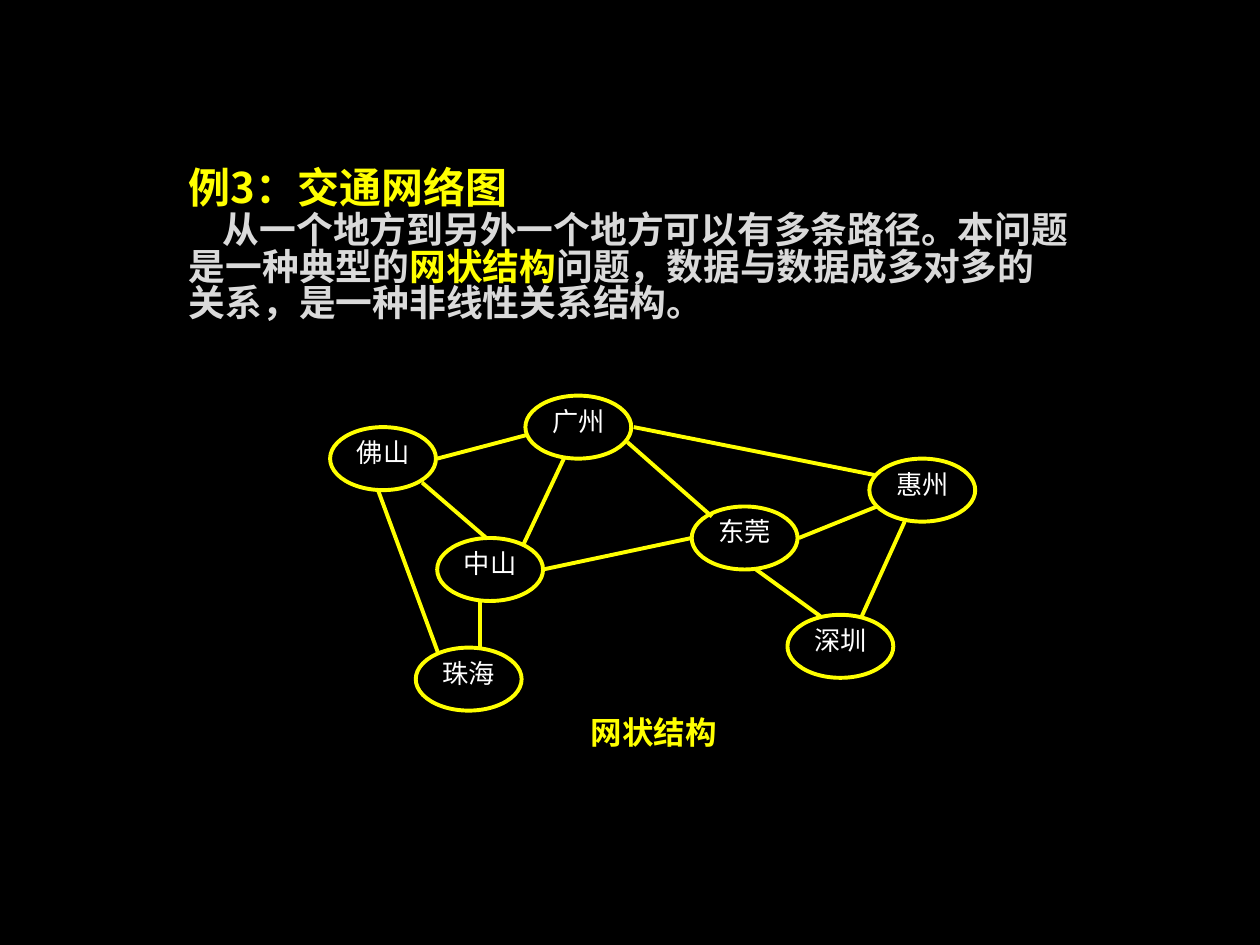
"""Build a slide showing a traffic network between cities as a graph structure."""
import pptx
import pptx.dml.color
import pptx.enum.shapes
import pptx.enum.text
import pptx.oxml
import pptx.oxml.ns
import pptx.util
from pptx.util import Inches, Pt

THEME = {
    "background": "000000", "accent": "FFFF00", "body": "DADADA", "city": "FFFFFF",
    "cjk_font": "Noto Sans CJK SC", "city_font": "Calibri",
    "title_size": 24, "body_size": 21, "caption_size": 18, "city_size": 15,
    "line_width": 2.25,
}

TITLE = [("例3：交通网络图", "accent")]
EXPLANATION = [
    ("从一个地方到另外一个地方可以有多条路径。本问题是一种典型的", "body"),
    ("网状结构", "accent"),
    ("问题，数据与数据成多对多的关系，是一种非线性关系结构。", "body"),
]
CAPTION = [("网状结构", "accent")]

CITY_SIZE = (0.84, 0.5)
CITIES = {
    "佛山": (2.62, 3.39), "惠州": (6.9, 3.64), "广州": (4.17, 3.14),
    "中山": (3.47, 4.27), "东莞": (5.49, 4.02), "深圳": (6.25, 4.88),
    "珠海": (3.3, 5.14),
}
ROADS = [
    ((3.81, 5.14), (3.81, 4.77)),
    ((3.86, 4.27), (3.35, 3.83)),
    ((5.49, 4.27), (4.31, 4.52)),
    ((5.65, 4.1), (4.98, 3.51)),
    ((6.51, 4.89), (6, 4.52)),
    ((6.84, 4.89), (7.18, 4.14)),
    ((6.94, 3.77), (5.03, 3.39)),
    ((4.15, 4.33), (4.48, 3.63)),
    ((4.19, 3.45), (3.47, 3.64)),
    ((6.96, 4.02), (6.34, 4.27)),
    ((3.48, 5.19), (3, 3.89)),
]


def color(role):
    return pptx.dml.color.RGBColor.from_string(THEME[role])


def style_line(line):
    line.color.rgb = color("accent")
    line.width = Pt(THEME["line_width"])


def write_runs(paragraph, pieces, size):
    for text, role in pieces:
        run = paragraph.add_run()
        run.text = text
        run.font.size = Pt(THEME[size])
        run.font.bold = True
        run.font.color.rgb = color(role)
        run.font.name = THEME["cjk_font"]
        east_asian = pptx.oxml.parse_xml(
            f'<a:ea {pptx.oxml.ns.nsdecls("a")} typeface="{THEME["cjk_font"]}"/>')
        run.font._element.find(pptx.oxml.ns.qn("a:latin")).addnext(east_asian)


def add_text_frame(slide, left, top, width, height):
    frame = slide.shapes.add_textbox(*map(Inches, (left, top, width, height))).text_frame
    frame.word_wrap = True
    return frame


def add_introduction(slide):
    frame = add_text_frame(slide, 1.4, 1.27, 7.19, 1.77)
    frame.margin_top = Inches(0.08)
    heading, explanation = frame.paragraphs[0], frame.add_paragraph()
    write_runs(heading, TITLE, "title_size")
    write_runs(explanation, EXPLANATION, "body_size")
    heading.line_spacing = explanation.line_spacing = 0.83
    explanation.space_before = Pt(1.3)
    explanation._p.get_or_add_pPr().set("indent", str(Inches(0.27)))


def add_city(slide, city, position):
    oval = slide.shapes.add_shape(
        pptx.enum.shapes.MSO_SHAPE.OVAL, *map(Inches, position + CITY_SIZE))
    oval.shadow.inherit = False
    oval.fill.background()
    style_line(oval.line)
    frame = oval.text_frame
    frame.margin_left = frame.margin_right = frame.margin_top = frame.margin_bottom = 0
    frame.vertical_anchor = pptx.enum.text.MSO_ANCHOR.TOP
    frame.text = city
    label = frame.paragraphs[0]
    label.alignment = pptx.enum.text.PP_ALIGN.CENTER
    font = label.runs[0].font
    font.name = THEME["city_font"]
    font.size = Pt(THEME["city_size"])
    font.color.rgb = color("city")


def add_road(slide, start, end):
    road = slide.shapes.add_connector(
        pptx.enum.shapes.MSO_CONNECTOR.STRAIGHT, *map(Inches, start + end))
    style_line(road.line)
    road._element.spPr.append(
        pptx.oxml.parse_xml(f'<a:effectLst {pptx.oxml.ns.nsdecls("a")}/>'))


def add_caption(slide):
    frame = add_text_frame(slide, 4.19, 5.62, 2, 0.38)
    frame.vertical_anchor = pptx.enum.text.MSO_ANCHOR.MIDDLE
    frame.margin_left = frame.margin_right = Inches(0.08)
    frame.margin_top = frame.margin_bottom = Inches(0.04)
    frame.paragraphs[0].alignment = pptx.enum.text.PP_ALIGN.CENTER
    write_runs(frame.paragraphs[0], CAPTION, "caption_size")


def main():
    deck = pptx.Presentation()
    deck.slide_width, deck.slide_height = Inches(10), Inches(7.5)
    slide = deck.slides.add_slide(deck.slide_layouts[6])
    slide.background.fill.solid()
    slide.background.fill.fore_color.rgb = color("background")
    add_introduction(slide)
    for city, position in CITIES.items():
        add_city(slide, city, position)
    for start, end in ROADS:
        add_road(slide, start, end)
    add_caption(slide)
    deck.save("out.pptx")


if __name__ == "__main__":
    main()
